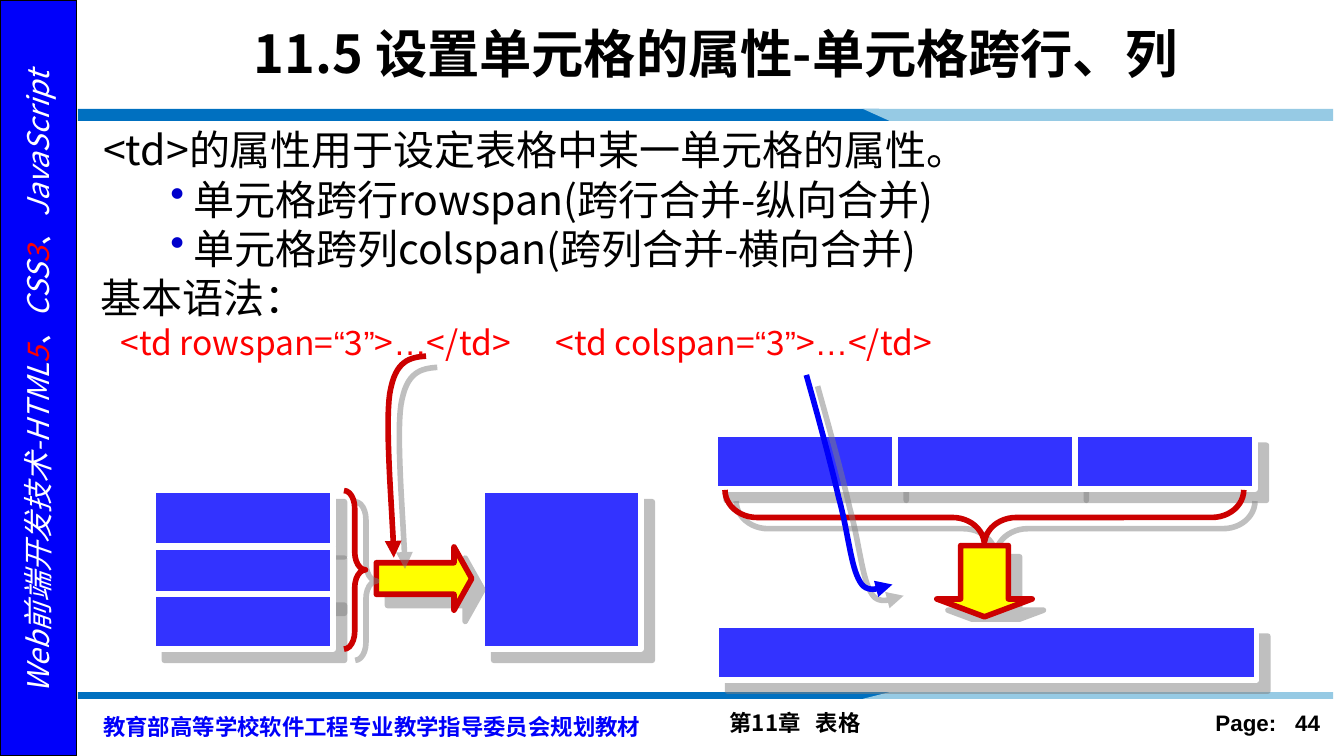
from lxml.etree import SubElement
from pptx import Presentation
from pptx.dml.color import RGBColor
from pptx.enum.shapes import MSO_SHAPE
from pptx.enum.text import MSO_ANCHOR, PP_ALIGN
from pptx.oxml.ns import qn
from pptx.util import Inches, Pt

WIDTH = 10
HEIGHT = WIDTH * 9 / 16
SIDEBAR = 0.57
BAND_LEFT, BAND_RIGHT = 0.58, 9.92
CELL_WIDTH, CELL_HEIGHT = 1.34, 0.41
CJK, LATIN = "Noto Sans CJK SC", "Arial"
BLUE, CELL_BLUE, RED, DARK_RED = "0000FA", "3333FF", "FF0000", "CC0000"
BLACK, WHITE, YELLOW = "000000", "FFFFFF", "FFFF00"


def color(hex_string):
    return RGBColor.from_string(hex_string)


def add_element(parent, tag, **attributes):
    return SubElement(parent, qn(tag), attributes)


def style(shape, fill=None, line=None, weight=3, shadow=False):
    """Set fill, outline and the optional offset shadow."""
    shape.shadow.inherit = False
    if fill:
        shape.fill.solid()
        shape.fill.fore_color.rgb = color(fill)
    else:
        shape.fill.background()
    if line:
        shape.line.color.rgb = color(line)
        shape.line.width = Pt(weight)
    else:
        shape.line.fill.background()
    if shadow:
        effects = shape._element.spPr.find(qn("a:effectLst"))
        outer = add_element(effects, "a:outerShdw", dist=str(Pt(8.5)),
                            dir="2700000", algn="ctr", rotWithShape="0")
        tint = add_element(outer, "a:srgbClr", val="808080")
        add_element(tint, "a:alpha", val="50000")


def add_preset(page, kind, place, fill=None, line=WHITE, adjust=(), rotation=0):
    shape = page.shapes.add_shape(kind, *map(Inches, place))
    for index, value in enumerate(adjust):
        shape.adjustments[index] = value
    shape.rotation = rotation
    style(shape, fill, line, shadow=True)


def add_cell(page, left, top, width=CELL_WIDTH, height=CELL_HEIGHT):
    add_preset(page, MSO_SHAPE.RECTANGLE, (left, top, width, height), CELL_BLUE)


def add_outline(page, points, closed):
    first, *rest = [(Inches(x), Inches(y)) for x, y in points]
    builder = page.shapes.build_freeform(*first)
    builder.add_line_segments(rest, close=closed)
    return builder.convert_to_shape()


def add_curved_arrow(page, start, curves, line, steps=16):
    """Follow cubic curves, each given as two controls and an end."""
    points = [start]
    for first, second, end in curves:
        begin = points[-1]
        for step in range(1, steps + 1):
            t = step / steps
            weights = ((1 - t) ** 3, 3 * t * (1 - t) ** 2, 3 * t * t * (1 - t), t ** 3)
            points.append(tuple(sum(w * point[axis] for w, point in
                                    zip(weights, (begin, first, second, end)))
                                for axis in (0, 1)))
    shape = add_outline(page, points, closed=False)
    style(shape, None, line, shadow=True)
    add_element(shape.line._get_or_add_ln(), "a:tailEnd", type="triangle")


def add_band(page, wide_edge, far_edge):
    """Draw a two-tone rule whose colours meet on a slant."""
    dark = [(BAND_LEFT, wide_edge), (6.54, wide_edge), (6.72, far_edge), (BAND_LEFT, far_edge)]
    light = [(6.42, wide_edge), (BAND_RIGHT, wide_edge), (BAND_RIGHT, far_edge), (6.62, far_edge)]
    for points, fill in ((dark, "0070C0"), (light, "96CAE4")):
        style(add_outline(page, points, closed=True), fill)


def add_box(page, place, rotation=0, anchor=MSO_ANCHOR.TOP):
    box = page.shapes.add_textbox(*map(Inches, place))
    box.rotation = rotation
    box.text_frame.word_wrap = True
    box.text_frame.vertical_anchor = anchor
    return box.text_frame


def set_layout(para, margin=0, indent=0, bullet=None):
    properties = para._p.get_or_add_pPr()
    properties.set("marL", str(Inches(margin)))
    properties.set("indent", str(Inches(indent)))
    if bullet:
        tint = add_element(properties, "a:buClr")
        add_element(tint, "a:srgbClr", val="0000CC")
        add_element(properties, "a:buChar", char=bullet)


def add_span(para, text, size, tint=BLACK, face=CJK, bold=False, italic=False, tracking=0):
    span = para.add_run()
    span.text = text
    font = span.font
    font.size, font.name, font.bold, font.italic = Pt(size), face, bold, italic
    font.color.rgb = color(tint)
    add_element(font._element, "a:ea", typeface=face)
    if tracking:
        font._element.set("spc", str(round(tracking * 100)))


def add_frame(page):
    """Sidebar, rules and footer."""
    sidebar = page.shapes.add_shape(MSO_SHAPE.RECTANGLE, 0, 0, Inches(SIDEBAR), Inches(HEIGHT))
    style(sidebar, BLUE, BLACK, 1)
    para = add_box(page, (-2.31, 2.66, 5.19, 0.37), rotation=270).paragraphs[0]
    para.alignment = PP_ALIGN.CENTER
    for text, tint in (("Web前端开发技术-HTML", WHITE), ("5", RED), ("、CSS", WHITE),
                       ("3", RED), ("、JavaScript", WHITE)):
        add_span(para, text, 16, tint, italic=True)

    add_band(page, 0.81, 0.9)
    add_band(page, 5.2, 5.15)

    series = add_box(page, (0.67, 5.21, 4.33, 0.35)).paragraphs[0]
    series.line_spacing = Pt(18)
    add_span(series, "教育部高等学校软件工程专业教学指导委员会规划教材", 12, BLUE, bold=True)

    footers = (((5.33, 5.23, 3.29, 0.3), ("第11章", "表格"), CJK, PP_ALIGN.LEFT, 5.4),
               ((8.67, 5.23, 1.25, 0.3), ("Page:", "44"), LATIN, PP_ALIGN.RIGHT, 6.7))
    for place, (label, value), face, alignment, gap in footers:
        para = add_box(page, place).paragraphs[0]
        para.alignment = alignment
        for text, tracking in ((label, 0), (" ", gap), (value, 0)):
            add_span(para, text, 12, BLACK, face, bold=True, tracking=tracking)


def add_words(page):
    """Title, explanation and syntax line."""
    title = add_box(page, (1.08, 0.08, 8.49, 0.62), anchor=MSO_ANCHOR.MIDDLE).paragraphs[0]
    title.alignment = PP_ALIGN.CENTER
    add_span(title, "11.5 设置单元格的属性-单元格跨行、列", 28, bold=True)

    bulleted = {"margin": 0.76, "indent": -0.17, "bullet": "•"}
    syntax = {"margin": 0.22}
    lines = (({"margin": 0.09}, ["<td>的属性用于设定表格中某一单元格的属性。"]),
             (bulleted, ["单元格跨行rowspan(跨行合并-纵向合并)"]),
             (bulleted, ["单元格跨列colspan(跨列合并-横向合并)"]),
             ({"margin": 0.07}, ["基本语法："]),
             (syntax, ["<td rowspan=", "“", "3", "”", ">", "…", "</td>", " ", "<td colspan=",
                       "“", "3", "”", ">", "…", "</td>"]))
    frame = add_box(page, (0.58, 0.88, 9.33, 1.94))
    for number, (layout, texts) in enumerate(lines):
        para = frame.add_paragraph() if number else frame.paragraphs[0]
        set_layout(para, **layout)
        size, tint = (18, RED) if layout is syntax else (22, BLACK)
        for text in texts:
            add_span(para, text, size, tint, LATIN if text in "“”…" else CJK,
                     tracking=20 if text == " " else 0)


def add_row_merge(page):
    """Three stacked cells become one."""
    for top in (3.65, 4.07, 4.42):
        add_cell(page, 1.14, top)
    add_cell(page, 3.59, 3.65, 1.18, 1.18)
    add_preset(page, MSO_SHAPE.RIGHT_ARROW, (2.8, 4.07, 0.71, 0.47), YELLOW, DARK_RED, (0.5, 0.28))
    add_curved_arrow(page, (3.17, 2.65), [((3.05, 2.66), (2.94, 2.68), (2.9, 2.93)),
                                          ((2.86, 3.18), (2.93, 3.94), (2.93, 4.15))], DARK_RED)


def add_column_merge(page):
    """Three cells side by side become one."""
    for column in range(3):
        add_cell(page, 5.32 + column * CELL_WIDTH, 3.23)
    add_preset(page, MSO_SHAPE.LEFT_BRACE, (7.12, 1.92, 0.41, 3.86), None, DARK_RED, (0.58, 0.5), 270)
    add_preset(page, MSO_SHAPE.RIGHT_ARROW, (7.06, 3.97, 0.53, 0.71), YELLOW, DARK_RED, (0.5, 0.25), 90)
    add_cell(page, 5.33, 4.65, 3 * CELL_WIDTH)
    add_curved_arrow(page, (6, 2.79), [((6.09, 3.11), (6.18, 3.44), (6.24, 3.7)),
                                       ((6.31, 3.95), (6.33, 4.22), (6.4, 4.33)),
                                       ((6.46, 4.44), (6.6, 4.35), (6.64, 4.35))], BLUE)


def main():
    deck = Presentation()
    deck.slide_width, deck.slide_height = Inches(WIDTH), Inches(HEIGHT)
    page = deck.slides.add_slide(deck.slide_layouts[6])
    add_frame(page)
    add_words(page)
    add_row_merge(page)
    add_column_merge(page)
    add_preset(page, MSO_SHAPE.RIGHT_BRACE, (2.56, 3.65, 0.16, 1.18), None, DARK_RED, (0.83, 0.5))
    deck.save("out.pptx")


if __name__ == "__main__":
    main()
